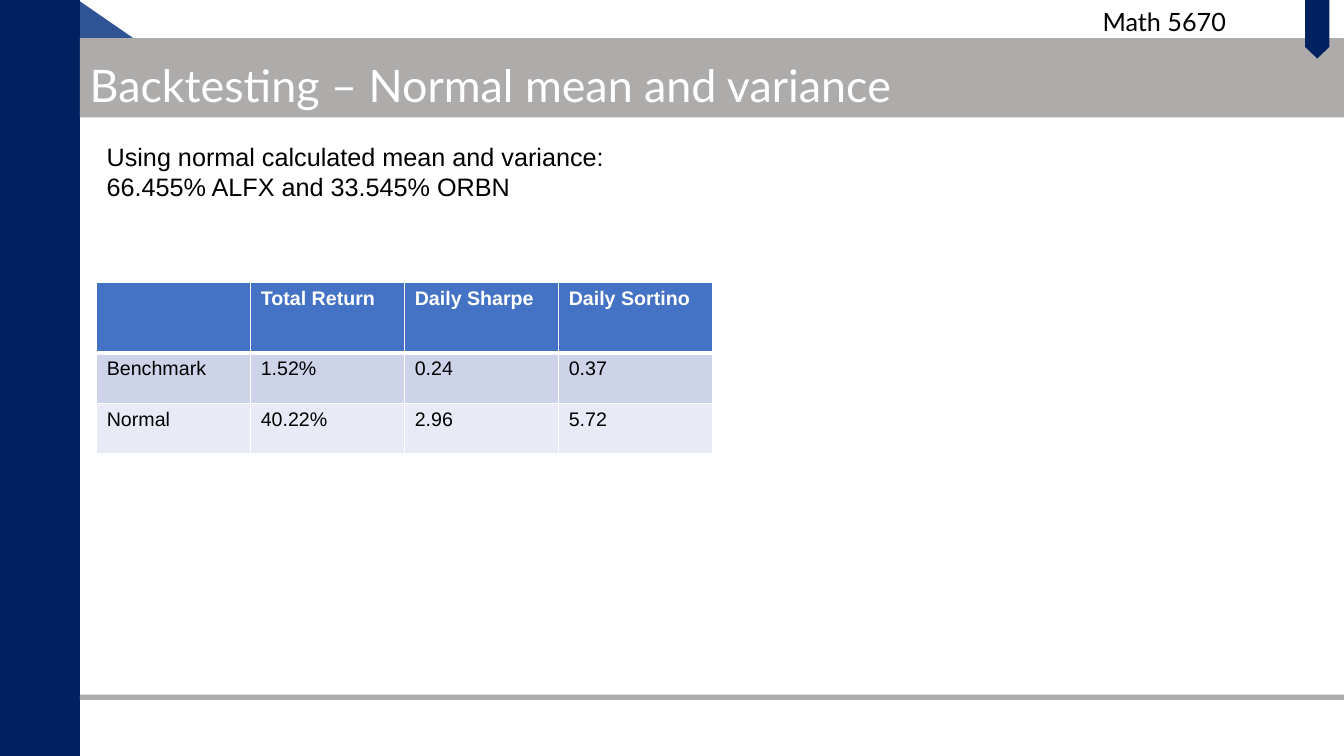
from dataclasses import dataclass

from lxml.etree import SubElement
from pptx import Presentation
from pptx.dml.color import RGBColor
from pptx.enum.shapes import MSO_SHAPE
from pptx.oxml.ns import qn
from pptx.slide import Slide
from pptx.table import _Cell
from pptx.text.text import TextFrame
from pptx.util import Pt


@dataclass(frozen=True)
class Theme:
    navy: str = "002060"
    fold: str = "2F5496"
    gray: str = "AEABAB"
    white: str = "FFFFFF"
    black: str = "000000"
    header: str = "4472C4"
    bands: tuple[str, str] = ("CDD4EA", "E8EBF5")
    heading_font: str = "Lato"
    body_font: str = "Arial"
    title_size: float = 32
    body_size: float = 18
    table_size: float = 14
    border: float = 1
    header_border: float = 3


@dataclass(frozen=True)
class Box:
    left: float
    top: float
    width: float
    height: float

    def lengths(self) -> tuple[Pt, Pt, Pt, Pt]:
        return Pt(self.left), Pt(self.top), Pt(self.width), Pt(self.height)


@dataclass(frozen=True)
class Panel:
    box: Box
    color: str
    kind: MSO_SHAPE = MSO_SHAPE.RECTANGLE
    rotation: float = 0


@dataclass(frozen=True)
class Style:
    font: str
    size: float
    color: str
    bold: bool = False


@dataclass(frozen=True)
class Label:
    box: Box
    lines: tuple[str, ...]
    style: Style


THEME = Theme()
SLIDE = Box(0, 0, 960, 540)
SIDEBAR = 57
CONTENT = SLIDE.width - SIDEBAR

PANELS = (
    Panel(Box(38.2, 12.2, 56.9, 43.2), THEME.fold, rotation=34.6),
    Panel(Box(0, 0, SIDEBAR, SLIDE.height), THEME.navy),
    Panel(Box(SIDEBAR, 27.2, CONTENT, 56.6), THEME.gray),
    Panel(Box(SIDEBAR, 496.2, CONTENT, 3.8), THEME.gray),
    Panel(Box(932.2, 0, 17.4, 41.8), THEME.navy, MSO_SHAPE.FLOWCHART_OFFPAGE_CONNECTOR),
)

LABELS = (
    Label(Box(SIDEBAR, 37.4, 702.7, 46),
          ("Backtesting – Normal mean and variance",),
          Style(THEME.heading_font, THEME.title_size, THEME.white)),
    Label(Box(780.5, 1.3, 151, 29),
          ("Math 5670",),
          Style(THEME.heading_font, THEME.body_size, THEME.black)),
    Label(Box(69.1, 97.2, 845, 312),
          ("Using normal calculated mean and variance:",
           "66.455% ALFX and 33.545% ORBN"),
          Style(THEME.body_font, THEME.body_size, THEME.black)),
)

RESULTS_AT = Box(69.1, 201.6, 440, 122.4)
ROW_HEIGHTS = (50.4, 36, 36)
RESULTS = (
    ("", "Total Return", "Daily Sharpe", "Daily Sortino"),
    ("Benchmark", "1.52%", "0.24", "0.37"),
    ("Normal", "40.22%", "2.96", "5.72"),
)


def rgb(color: str) -> RGBColor:
    return RGBColor.from_string(color)


def write(tf: TextFrame, lines: tuple[str, ...], style: Style) -> None:
    tf.text = "\n".join(lines)
    for p in tf.paragraphs:
        p.font.name = style.font
        p.font.size = Pt(style.size)
        p.font.bold = style.bold
        p.font.color.rgb = rgb(style.color)


def add_panel(s: Slide, panel: Panel) -> None:
    sp = s.shapes.add_shape(panel.kind, *panel.box.lengths())
    sp.shadow.inherit = False
    sp.fill.solid()
    sp.fill.fore_color.rgb = rgb(panel.color)
    sp.line.fill.background()
    sp.rotation = panel.rotation


def add_label(s: Slide, label: Label) -> None:
    tf = s.shapes.add_textbox(*label.box.lengths()).text_frame
    tf.word_wrap = True
    write(tf, label.lines, label.style)


def set_border(cell: _Cell, side: str, width: float) -> None:
    ln = SubElement(cell._tc.get_or_add_tcPr(), qn(f"a:ln{side}"), w=str(Pt(width)))
    fill = SubElement(ln, qn("a:solidFill"))
    SubElement(fill, qn("a:srgbClr"), val=THEME.white)


def style_cell(cell: _Cell, row: int, text: str) -> None:
    is_header = row == 0
    top = THEME.header_border if row == 1 else THEME.border
    bottom = THEME.header_border if is_header else THEME.border
    for side, width in (("L", THEME.border), ("R", THEME.border), ("T", top), ("B", bottom)):
        set_border(cell, side, width)
    cell.fill.solid()
    cell.fill.fore_color.rgb = rgb(THEME.header if is_header else THEME.bands[(row - 1) % 2])
    color = THEME.white if is_header else THEME.black
    write(cell.text_frame, (text,), Style(THEME.body_font, THEME.table_size, color, is_header))


def add_results(s: Slide) -> None:
    table = s.shapes.add_table(len(RESULTS), len(RESULTS[0]), *RESULTS_AT.lengths()).table
    for column in table.columns:
        column.width = Pt(RESULTS_AT.width / len(RESULTS[0]))
    for i, (height, values) in enumerate(zip(ROW_HEIGHTS, RESULTS)):
        table.rows[i].height = Pt(height)
        for j, value in enumerate(values):
            style_cell(table.cell(i, j), i, value)


def main() -> None:
    prs = Presentation()
    prs.slide_width, prs.slide_height = Pt(SLIDE.width), Pt(SLIDE.height)
    s = prs.slides.add_slide(prs.slide_layouts[6])
    for panel in PANELS:
        add_panel(s, panel)
    for label in LABELS:
        add_label(s, label)
    add_results(s)
    prs.save("out.pptx")


main()
